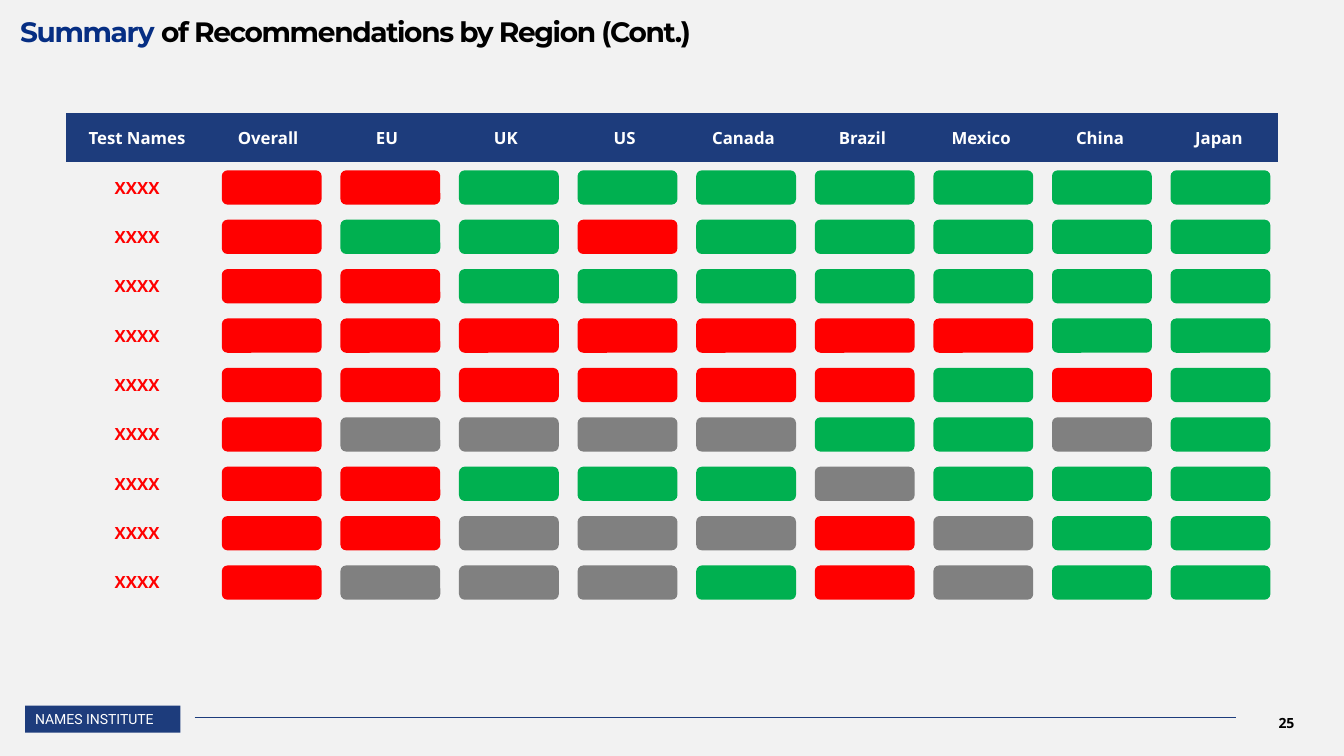
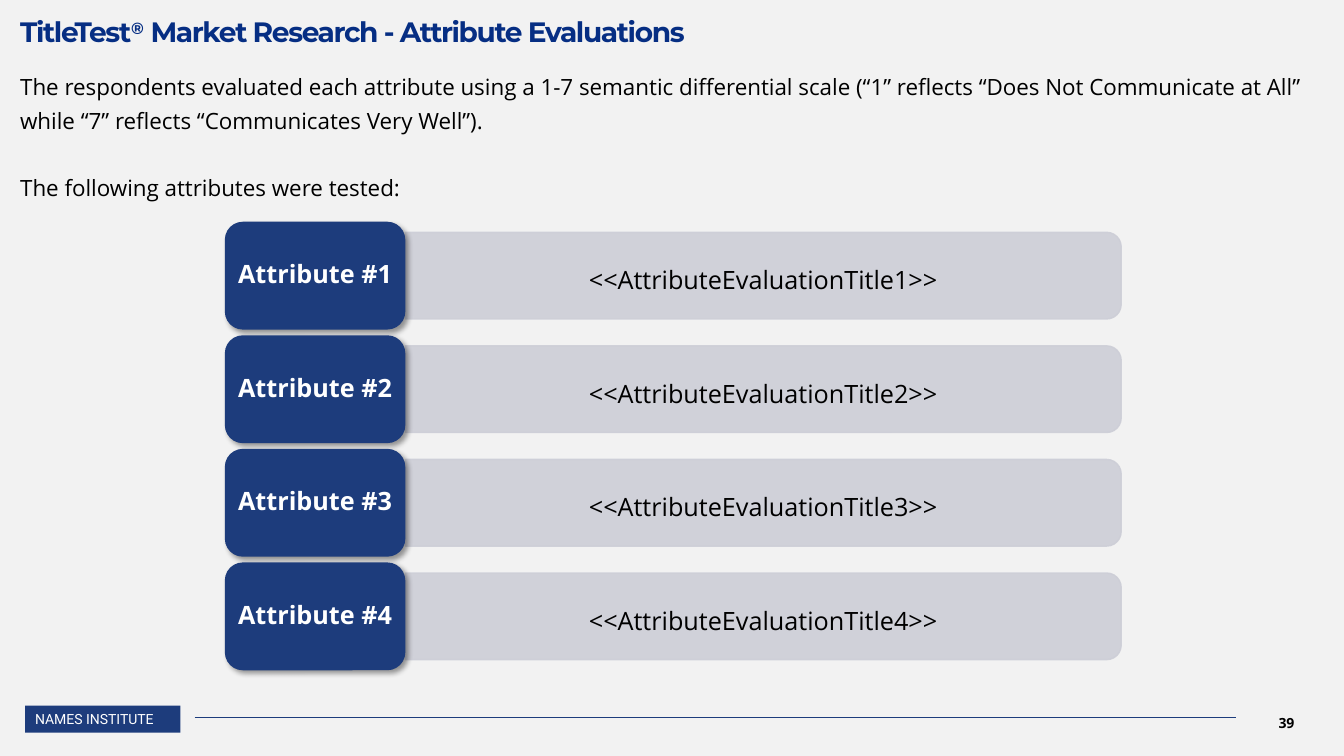
from dataclasses import dataclass

from lxml.etree import SubElement
from pptx import Presentation
from pptx.dml.color import RGBColor
from pptx.enum.shapes import MSO_CONNECTOR, MSO_SHAPE
from pptx.enum.text import MSO_ANCHOR, MSO_AUTO_SIZE, PP_ALIGN
from pptx.oxml.ns import qn
from pptx.util import Inches, Pt


@dataclass(frozen=True)
class Theme:
    """Colours, fonts and type sizes of the deck."""
    back: str = "F2F2F2"
    navy: str = "1D3C7C"
    head: str = "062E83"
    bar: str = "CDCED7"
    black: str = "000000"
    white: str = "FFFFFF"
    red: str = "FF0000"
    green: str = "00B050"
    gray: str = "808080"
    text_font: str = "Open Sans"
    head_font: str = "Montserrat"
    tag_font: str = "Roboto"
    small: int = 10
    cell: int = 12
    body: int = 16
    label: int = 18
    title: int = 20


THEME = Theme()
STATE = {"R": THEME.red, "G": THEME.green, "S": THEME.gray}
PLAIN_GRID = "{2D5ABB26-0587-4C30-8999-92F81FD0307C}"
TITLE_BOX = (0.2, 0, 12.82, 0.48)
LEFT, MID = PP_ALIGN.LEFT, PP_ALIGN.CENTER

REGIONS = ["Overall", "EU", "UK", "US", "Canada", "Brazil", "Mexico", "China", "Japan"]
RESULTS = [
    "RRGGGGGGG",
    "RGGRGGGGG",
    "RRGGGGGGG",
    "RRRRRRRGG",
    "RRRRRRGRG",
    "RSSSSGGSG",
    "RRGGGSGGG",
    "RRSSSRSGG",
    "RSSSGRSGG",
]
INTRO = [
    "The respondents evaluated each attribute using a 1-7 semantic differential scale "
    "(“1” reflects “Does Not Communicate at All” while “7” reflects “Communicates Very Well”).",
    "The following attributes were tested:",
]


def apply(item, values):
    """Set each named attribute of an item."""
    for name, value in values.items():
        setattr(item, name, value)


def place(item, box):
    """Move an item to a box given in inches."""
    apply(item, dict(zip(("left", "top", "width", "height"), map(Inches, box))))


def tint(color):
    """Turn a hex code into a colour value."""
    return RGBColor.from_string(color)


def paint(fill, color):
    """Give a fill one solid colour."""
    fill.solid()
    fill.fore_color.rgb = tint(color)


def setup(frame, pad=(0, 0, 0, 0), **more):
    """Format a text frame, with its margins in inches."""
    names = ("margin_left", "margin_top", "margin_right", "margin_bottom")
    values = {"word_wrap": True, "auto_size": MSO_AUTO_SIZE.NONE,
              "vertical_anchor": MSO_ANCHOR.TOP}
    apply(frame, {**values, **dict(zip(names, map(Inches, pad))), **more})


def write(para, text, size, color, bold=False, face=THEME.text_font):
    """Add a formatted run to a paragraph."""
    run = para.add_run()
    run.text = text
    apply(run.font, {"name": face, "size": Pt(size), "bold": bold})
    run.font.color.rgb = tint(color)
    return run


def draw(slide, kind, box, color):
    """Add a flat shape without outline."""
    shape = slide.shapes.add_shape(kind, *map(Inches, box))
    shape.shadow.inherit = False
    paint(shape.fill, color)
    shape.line.fill.background()
    return shape


def add_title(slide, parts):
    """Fill the title from text, colour and baseline parts."""
    title = slide.shapes.title
    place(title, TITLE_BOX)
    setup(title.text_frame, (0, 0.21, 0, 0))
    para = title.text_frame.paragraphs[0]
    apply(para, {"alignment": LEFT, "line_spacing": 0.8})
    for text, color, base in parts:
        run = write(para, text, THEME.title, color, True, THEME.head_font)
        props = run.font._element
        props.set("spc", "-100")
        if base:
            props.set("baseline", str(base * 1000))


def add_foot(slide, number):
    """Add the name tag, rule and page number."""
    tag = draw(slide, MSO_SHAPE.RECTANGLE, (0.25, 7, 1.54, 0.27), THEME.navy)
    setup(tag.text_frame, (0.1, 0, 0.1, 0), word_wrap=False,
          vertical_anchor=MSO_ANCHOR.MIDDLE)
    para = tag.text_frame.paragraphs[0]
    para.alignment = LEFT
    write(para, "NAMES INSTITUTE", THEME.small, THEME.white, face=THEME.tag_font)

    ends = map(Inches, (1.93, 7.12, 12.26, 7.12))
    rule = slide.shapes.add_connector(MSO_CONNECTOR.STRAIGHT, *ends)
    rule.line.width = Pt(0.5)
    rule.line.color.rgb = tint(THEME.navy)
    SubElement(rule._element.spPr, qn("a:effectLst"))

    page = slide.shapes.add_textbox(*map(Inches, (12.21, 6.97, 1.1, 0.4)))
    setup(page.text_frame, (0.1, 0.05, 0.1, 0.05), vertical_anchor=MSO_ANCHOR.MIDDLE)
    para = page.text_frame.paragraphs[0]
    para.alignment = MID
    write(para, str(number), THEME.small, THEME.black, True)


def start(deck, layout, parts, number):
    """Add a slide with its title and footer."""
    slide = deck.slides.add_slide(deck.slide_layouts[layout])
    add_title(slide, parts)
    add_foot(slide, number)
    return slide


def fill_cell(cell, text, color, back):
    """Write one centred table cell."""
    apply(cell, {"vertical_anchor": MSO_ANCHOR.MIDDLE, "margin_left": Inches(0.01),
                 "margin_right": Inches(0.01), "margin_top": Inches(0.01),
                 "margin_bottom": 0})
    paint(cell.fill, back)
    para = cell.text_frame.paragraphs[0]
    para.alignment = MID
    write(para, text, THEME.cell, color, True)


def add_grid(slide, box):
    """Add the region table and its result pills."""
    left, top, width, height = box
    rows, cols = len(RESULTS) + 1, len(REGIONS) + 1
    first, high = 1.42, height / rows
    frame = slide.shapes.add_table(rows, cols, *map(Inches, box))
    table = frame.table
    props = table._tbl.tblPr
    props.find(qn("a:tableStyleId")).text = PLAIN_GRID
    apply(table, {"first_row": False, "horz_banding": False})
    for row in table.rows:
        row.height = Inches(high)
    for col, column in enumerate(table.columns):
        column.width = Inches((width - first) / len(REGIONS) if col else first)
    for col, name in enumerate(["Test Names"] + REGIONS):
        fill_cell(table.cell(0, col), name, THEME.white, THEME.navy)
    step = 9.41 / (len(REGIONS) - 1)
    for row, codes in enumerate(RESULTS, 1):
        fill_cell(table.cell(row, 0), "XXXX", THEME.red, THEME.back)
        for col, code in enumerate(codes):
            table.cell(row, col + 1).fill.background()
            spot = (left + 1.55 + col * step, top + row * high + 0.08, 0.99, 0.34)
            draw(slide, MSO_SHAPE.ROUNDED_RECTANGLE, spot, STATE[code])


def add_intro(slide, box):
    """Fill the body with unmarked paragraphs."""
    body = slide.placeholders[1]
    place(body, box)
    frame = body.text_frame
    setup(frame)
    for spot, text in enumerate(INTRO):
        para = frame.add_paragraph() if spot else frame.paragraphs[0]
        props = para._p.get_or_add_pPr()
        for name in ("marL", "indent"):
            props.set(name, "0")
        SubElement(props, qn("a:buNone"))
        apply(para, {"alignment": LEFT, "line_spacing": 1.25,
                     "space_before": Pt(24 * spot), "space_after": Pt(0)})
        write(para, text, THEME.body, THEME.black)


def fade(shape, share):
    """Set the opacity of a shape's fill and line in percent."""
    for color in shape._element.spPr.iter(qn("a:srgbClr")):
        SubElement(color, qn("a:alpha"), val=str(share * 1000))


def cast(shape):
    """Give a shape a soft diagonal shadow."""
    list_tag = shape._element.spPr.find(qn("a:effectLst"))
    soft = SubElement(list_tag, qn("a:outerShdw"), blurRad=str(Pt(4)), dist=str(Pt(3)),
                      dir=str(45 * 60000), algn="tl", rotWithShape="0")
    color = SubElement(soft, qn("a:srgbClr"), val=THEME.black)
    SubElement(color, qn("a:alpha"), val="40000")


def add_row(slide, box, number):
    """Add one attribute block, its bar and its title."""
    left, top, width, height = box
    side, long, thick = 1.79, width - 1.79, 0.86
    turned = (left + side + (long - thick) / 2, top + (height - long) / 2, thick, long)
    bar = draw(slide, MSO_SHAPE.ROUND_2_SAME_RECTANGLE, turned, THEME.bar)
    bar.rotation = 90
    paint(bar.line.fill, THEME.bar)
    bar.line.width = Pt(1)
    fade(bar, 90)

    block = draw(slide, MSO_SHAPE.ROUNDED_RECTANGLE, (left, top, side, height), THEME.navy)
    cast(block)
    setup(block.text_frame, (0.07, 0.04, 0.07, 0.04), vertical_anchor=MSO_ANCHOR.MIDDLE)
    para = block.text_frame.paragraphs[0]
    apply(para, {"alignment": MID, "line_spacing": 0.9})
    write(para, f"Attribute #{number}", THEME.label, THEME.white, True)

    spot = (left + side, top + 0.35, long, 0.35)
    label = slide.shapes.add_textbox(*map(Inches, spot))
    setup(label.text_frame)
    para = label.text_frame.paragraphs[0]
    apply(para, {"alignment": MID, "line_spacing": 1.25})
    write(para, f"<<AttributeEvaluationTitle{number}>>", THEME.label, THEME.black)


def add_rows(slide, box, count):
    """Stack the attribute rows evenly in a box."""
    left, top, width, height = box
    high = 1.07
    step = (height - high) / (count - 1)
    for spot in range(count):
        add_row(slide, (left, top + spot * step, width, high), spot + 1)


def main():
    """Build and save the deck."""
    deck = Presentation()
    apply(deck, {"slide_width": Inches(13.33), "slide_height": Inches(7.5)})
    paint(deck.slide_master.background.fill, THEME.back)

    parts = [("Summary ", THEME.head, 0),
             ("of Recommendations by Region (Cont.)", THEME.black, 0)]
    slide = start(deck, 5, parts, 25)
    add_grid(slide, (0.65, 1.12, 12.03, 4.9))

    parts = [("TitleTest", THEME.head, 0), ("®", THEME.head, 30),
             (" Market Research - Attribute Evaluations", THEME.head, 0)]
    slide = start(deck, 1, parts, 39)
    add_intro(slide, (0.2, 0.66, 12.82, 1.32))
    add_rows(slide, (2.23, 2.2, 8.89, 4.45), 4)
    deck.save("out.pptx")


if __name__ == "__main__":
    main()
